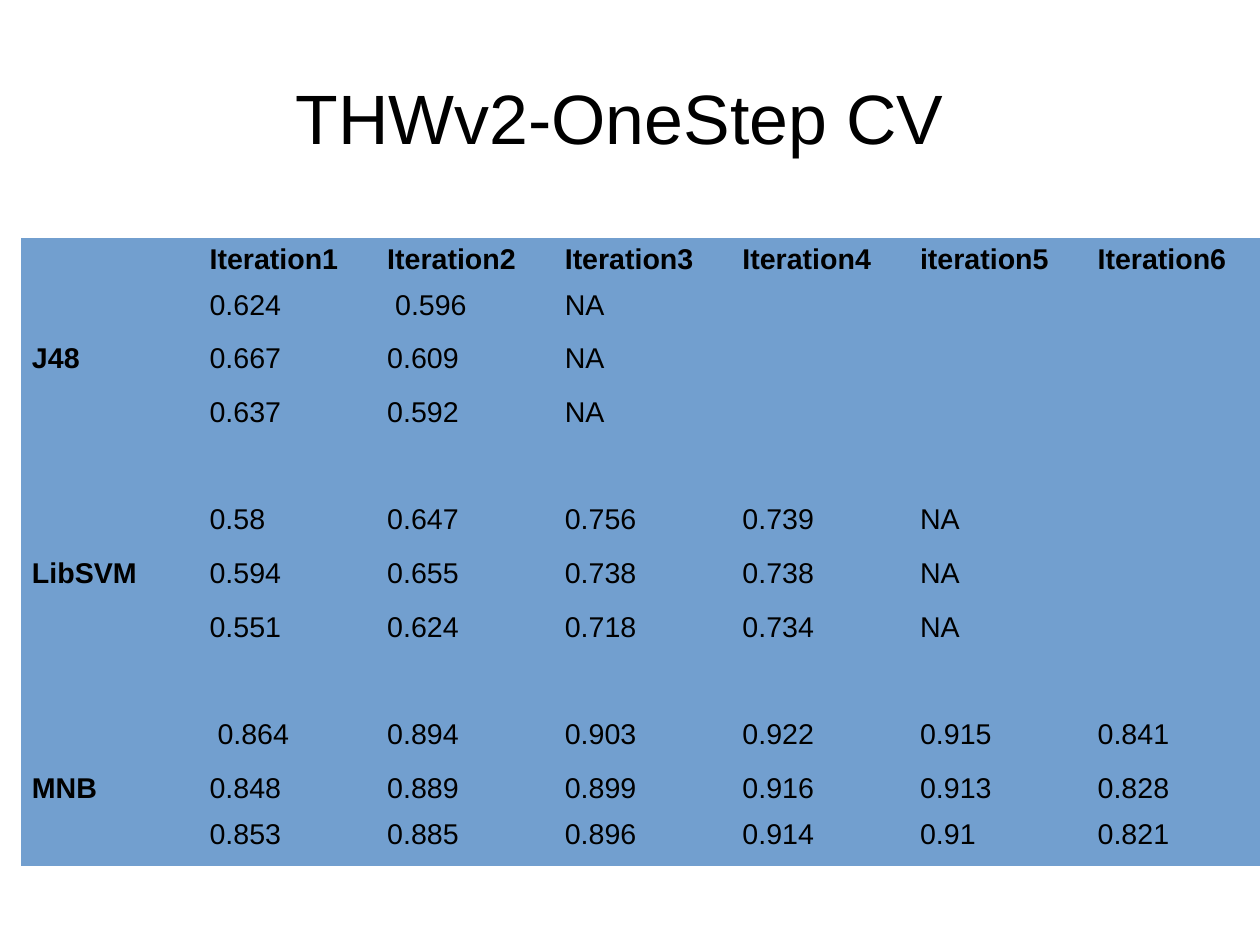
from lxml.etree import SubElement
from pptx import Presentation
from pptx.dml.color import RGBColor
from pptx.enum.text import MSO_ANCHOR, PP_ALIGN
from pptx.oxml.ns import qn
from pptx.util import Inches, Pt

COLORS = {"text": "000000", "cell": "729FCF"}
CM_PER_INCH = 2.54
SCORES = [
    ["", "Iteration1", "Iteration2", "Iteration3", "Iteration4", "iteration5", "Iteration6"],
    ["", "0.624", " 0.596", "NA"],
    ["J48", "0.667", "0.609", "NA"],
    ["", "0.637", "0.592", "NA"],
    [],
    ["", "0.58", "0.647", "0.756", "0.739", "NA"],
    ["LibSVM", "0.594", "0.655", "0.738", "0.738", "NA"],
    ["", "0.551", "0.624", "0.718", "0.734", "NA"],
    [],
    ["", " 0.864", "0.894", "0.903", "0.922", "0.915", "0.841"],
    ["MNB", "0.848", "0.889", "0.899", "0.916", "0.913", "0.828"],
    ["", "0.853", "0.885", "0.896", "0.914", "0.91", "0.821"],
]
SHORT_ROWS = (0, 10)


class SlideBuilder:
    """Draws styled titles and tables on the current slide."""

    def __init__(self, slide, font_name="Arial"):
        self.slide = slide
        self.font_name = font_name

    def add_run(self, paragraph, text, size, bold=False):
        run = paragraph.add_run()
        run.text = text
        run.font.name = self.font_name
        run.font.size = Pt(size)
        run.font.bold = bold
        run.font.color.rgb = RGBColor.from_string(COLORS["text"])

    def add_title(self, text, left, top, width, height):
        shape = self.slide.shapes.add_textbox(
            Inches(left), Inches(top), Inches(width), Inches(height))
        frame = shape.text_frame
        frame.word_wrap = True
        frame.vertical_anchor = MSO_ANCHOR.MIDDLE
        frame.margin_left = frame.margin_right = 0
        frame.margin_top = frame.margin_bottom = 0
        paragraph = frame.paragraphs[0]
        paragraph.alignment = PP_ALIGN.CENTER
        self.add_run(paragraph, text, 44)

    def style_cell(self, cell):
        properties = cell._tc.get_or_add_tcPr()
        for side in ("a:lnL", "a:lnR", "a:lnT", "a:lnB"):
            SubElement(SubElement(properties, qn(side)), qn("a:noFill"))
        cell.fill.solid()
        cell.fill.fore_color.rgb = RGBColor.from_string(COLORS["cell"])

    def set_empty_font(self, paragraph, size):
        properties = SubElement(paragraph._p, qn("a:endParaRPr"), sz=str(size * 100))
        SubElement(properties, qn("a:latin"), typeface=self.font_name)

    def add_table(self, rows, left, top, width, heights, size=18):
        column_count = len(rows[0])
        table = self.slide.shapes.add_table(
            len(rows), column_count, Inches(left), Inches(top),
            Inches(width), Inches(sum(heights))).table
        table.first_row = False
        table.horz_banding = False
        for column in table.columns:
            column.width = Inches(width / column_count)
        for row_index, (values, height) in enumerate(zip(rows, heights)):
            table.rows[row_index].height = Inches(height)
            for column_index in range(column_count):
                cell = table.cell(row_index, column_index)
                self.style_cell(cell)
                paragraph = cell.text_frame.paragraphs[0]
                if column_index < len(values) and values[column_index]:
                    is_heading = row_index == 0 or column_index == 0
                    self.add_run(paragraph, values[column_index], size, is_heading)
                else:
                    self.set_empty_font(paragraph, size)


def main():
    presentation = Presentation()
    presentation.slide_width = Inches(28 / CM_PER_INCH)
    presentation.slide_height = Inches(21 / CM_PER_INCH)
    slide = presentation.slides.add_slide(presentation.slide_layouts[6])
    builder = SlideBuilder(slide)
    builder.add_title("THWv2-OneStep CV ", 0.55, 0.33, 9.92, 1.38)
    heights = [0.38 if index in SHORT_ROWS else 0.47 for index in range(len(SCORES))]
    builder.add_table(SCORES, 0.18, 2.08, 10.88, heights)
    presentation.save("out.pptx")


if __name__ == "__main__":
    main()
